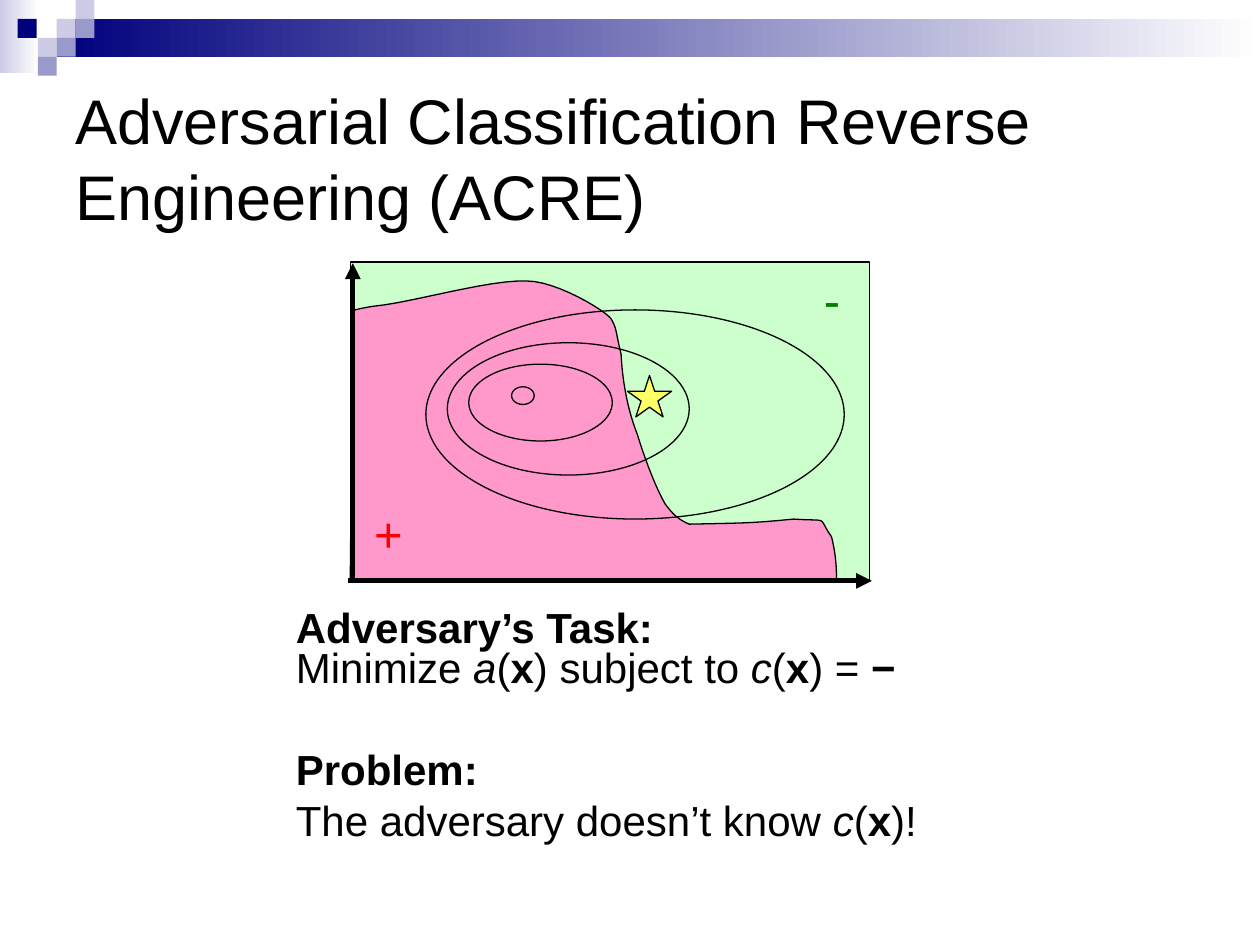
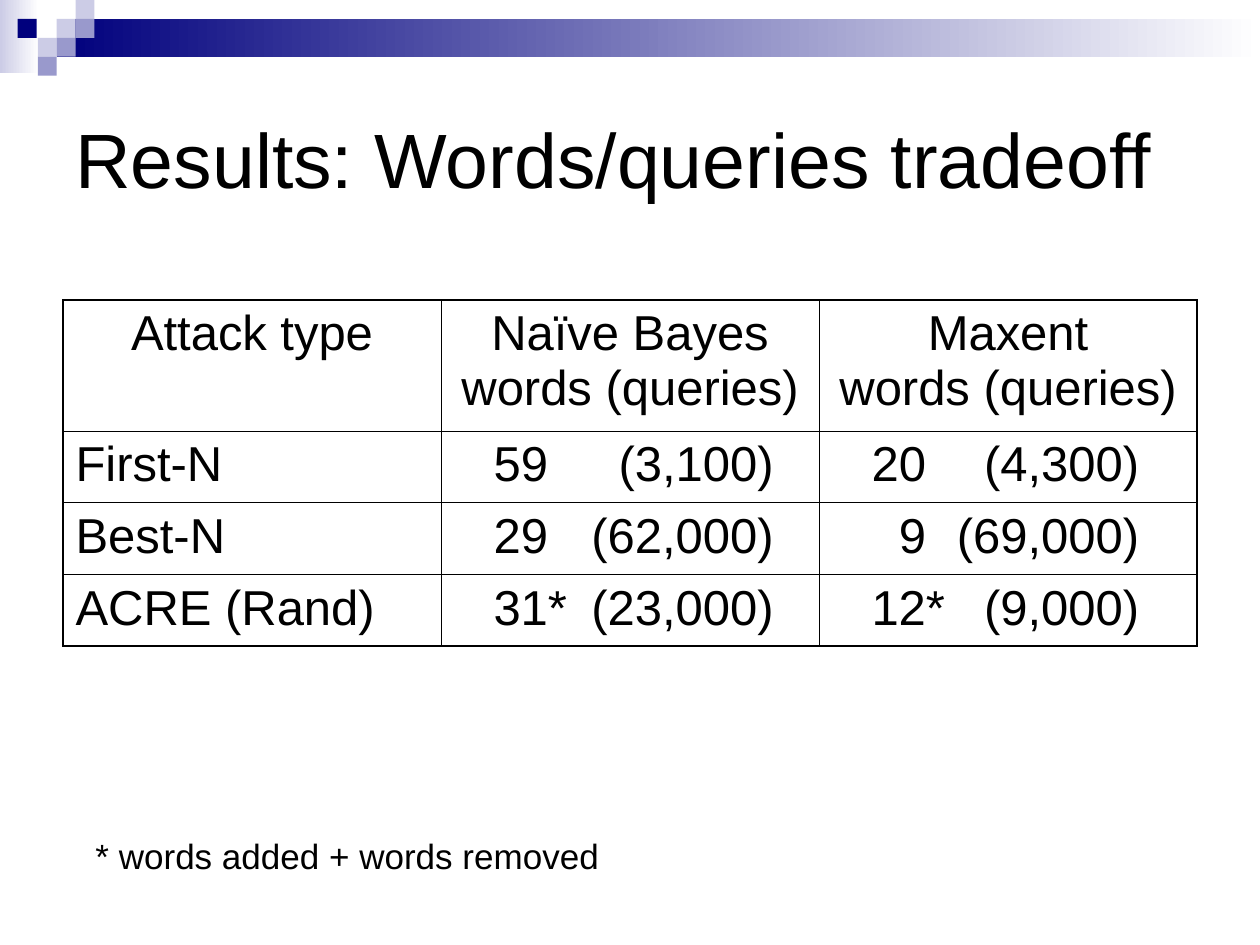
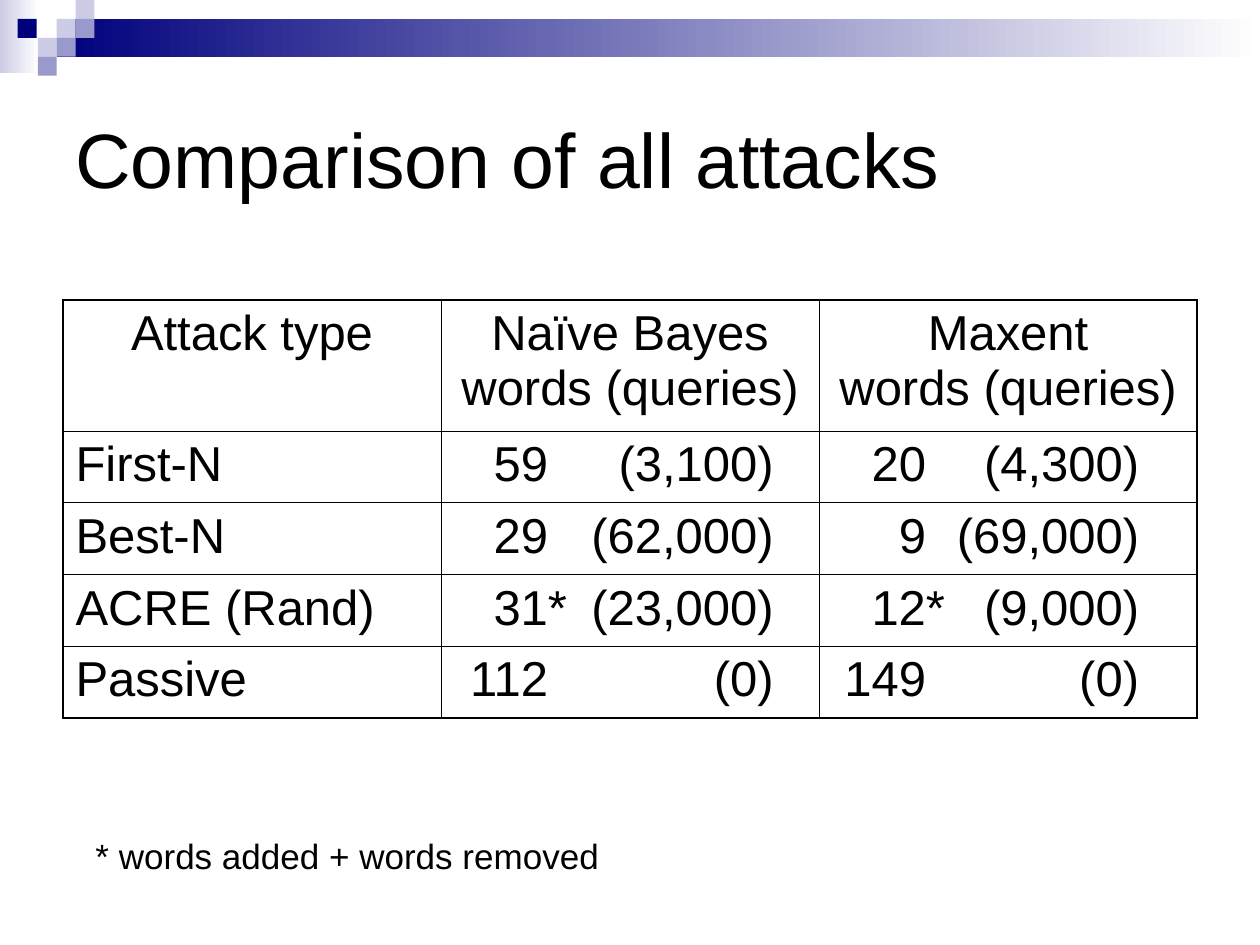
"""Three slides on adversarial classifier reverse engineering and its attack results."""
from dataclasses import dataclass
from typing import NamedTuple, Optional

from lxml import etree
from pptx import Presentation
from pptx.dml.color import RGBColor
from pptx.enum.shapes import MSO_CONNECTOR, MSO_SHAPE
from pptx.enum.text import MSO_ANCHOR, PP_ALIGN
from pptx.oxml.ns import qn
from pptx.util import Inches, Pt

RECTANGLE = MSO_SHAPE.RECTANGLE
OVAL = MSO_SHAPE.OVAL
STAR = MSO_SHAPE.STAR_5_POINT
STRAIGHT = MSO_CONNECTOR.STRAIGHT
CENTER = PP_ALIGN.CENTER
LEFT = PP_ALIGN.LEFT
MIDDLE = MSO_ANCHOR.MIDDLE
TOP = MSO_ANCHOR.TOP


@dataclass(frozen=True)
class Theme:
    """Colours, font and sizes shared by the slides."""
    font: str = "Arial"
    ink: str = "000000"
    white: str = "FFFFFF"
    navy: str = "00007D"
    lavender: str = "CCCCE6"
    violet: str = "9999CC"
    negative_area: str = "CCFFCC"
    positive_area: str = "FF99CC"
    negative_sign: str = "008000"
    positive_sign: str = "FF0000"
    star: str = "FFFF66"
    title_size: float = 44
    long_title_size: float = 36
    sign_size: float = 28
    table_size: float = 28
    task_size: float = 24
    note_size: float = 20
    outline: float = 0.75
    axis: float = 3
    frame: float = 1.08
    grid: float = 0.45


THEME = Theme()


class Box(NamedTuple):
    """Left, top, width and height in inches."""
    left: float
    top: float
    width: float
    height: float


class Span(NamedTuple):
    """A piece of text with its emphasis."""
    text: str
    bold: bool = False
    italic: bool = False


class Line(NamedTuple):
    """A paragraph made of spans, with its space before in points."""
    spans: list[Span]
    before: float = 0


class Score(NamedTuple):
    """Words changed and queries used by an attack."""
    words: str
    queries: str


class Attack(NamedTuple):
    """One row of the results."""
    name: str
    bayes: Score
    maxent: Score


class Tile(NamedTuple):
    """A small square of the corner mosaic."""
    left: float
    top: float
    color: str


TILE_SIDE = 0.15
MOSAIC = [
    Tile(0.45, 0.15, THEME.lavender),
    Tile(0.6, 0, THEME.lavender),
    Tile(0.6, 0.15, THEME.violet),
    Tile(0.3, 0.3, THEME.lavender),
    Tile(0.14, 0.15, THEME.navy),
    Tile(0.45, 0.3, THEME.violet),
    Tile(0.3, 0.45, THEME.violet),
]
BANDS = [(Box(0, 0, 0.31, 0.58), THEME.lavender), (Box(0.45, 0.15, 9.55, 0.3), THEME.navy)]

BOUNDARY_START = (2.78, 4.62)
BOUNDARY_CURVES = [
    ((2.79, 3.9), (2.78, 3.19), (2.8, 2.47)),
    ((2.8, 2.46), (2.9, 2.44), (2.97, 2.43)),
    ((3.28, 2.4), (3.87, 2.22), (4.18, 2.23)),
    ((4.42, 2.23), (4.81, 2.47), (4.85, 2.53)),
    ((4.9, 2.61), (4.89, 2.66), (4.93, 2.81)),
    ((4.94, 3.02), (4.98, 3.25), (5.06, 3.45)),
    ((5.12, 3.65), (5.21, 3.88), (5.28, 4)),
    ((5.34, 4.08), (5.38, 4.12), (5.47, 4.16)),
    ((5.99, 4.15), (5.97, 4.15), (6.3, 4.12)),
    ((6.6, 4.14), (6.48, 4.09), (6.6, 4.26)),
    ((6.63, 4.38), (6.64, 4.48), (6.64, 4.6)),
]
CURVE_STEPS = 12
COST_CONTOURS = [
    Box(4.06, 3.07, 0.18, 0.14),
    Box(3.72, 2.89, 1.14, 0.61),
    Box(3.55, 2.72, 1.92, 1.05),
    Box(3.38, 2.46, 3.32, 1.66),
]
AXES = [((2.8, 4.61), (2.8, 2.09)), ((2.76, 4.61), (6.92, 4.61))]

CLASSIFIER = [Span("c", italic=True), Span("("), Span("x", bold=True)]
TASK_LINES = [
    Line([Span("Adversary’s Task:", bold=True), Span("\v"), Span("Minimize "),
          Span("a", italic=True), Span("("), Span("x", bold=True), Span(") subject to "),
          *CLASSIFIER, Span(") = "), Span("−", bold=True)]),
    Line([Span("Problem:", bold=True)], before=35),
    Line([Span("The adversary doesn’t know "), *CLASSIFIER, Span(")!")], before=6),
]

HEADINGS = ["Attack type", "Naïve Bayes\vwords (queries)", "Maxent\vwords (queries)"]
ACTIVE_ATTACKS = [
    Attack("First-N", Score("59", "(3,100)"), Score("20", "(4,300)")),
    Attack("Best-N", Score("29", "(62,000)"), Score("9", "(69,000)")),
    Attack("ACRE (Rand)", Score("31*", "(23,000)"), Score("12*", "(9,000)")),
]
PASSIVE_ATTACK = Attack("Passive", Score("112", "(0)"), Score("149", "(0)"))
COLUMN_WIDTH = 3
HEADING_HEIGHT = 1.04
ROW_HEIGHT = 0.57
WORDS_STOP = 0.75
STAR_WIDTH = 0.15
BAYES_STOP = 2.54
MAXENT_STOP = 2.44


def rgb(color: str) -> RGBColor:
    """Turn a hex colour into an RGBColor."""
    return RGBColor.from_string(color)


def place(box: Box) -> list[int]:
    """Give the four lengths of a box."""
    return [Inches(length) for length in box]


def style_font(font, size: float, color: str = THEME.ink) -> None:
    """Apply the theme font in a size and colour."""
    font.name = THEME.font
    font.size = Pt(size)
    font.color.rgb = rgb(color)


def paint(shape, fill: Optional[str], outline: Optional[str] = None) -> None:
    """Set fill and outline, and drop the shadow."""
    shape.shadow.inherit = False
    if fill:
        shape.fill.solid()
        shape.fill.fore_color.rgb = rgb(fill)
    else:
        shape.fill.background()
    if outline:
        shape.line.color.rgb = rgb(outline)
        shape.line.width = Pt(THEME.outline)
    else:
        shape.line.fill.background()


def draw_preset(slide, kind, box: Box, fill: Optional[str], outline: Optional[str] = None):
    """Draw a preset shape."""
    shape = slide.shapes.add_shape(kind, *place(box))
    paint(shape, fill, outline)
    return shape


def draw_band(slide, box: Box, color: str) -> None:
    """Draw a rectangle that fades from a colour to white."""
    band = draw_preset(slide, RECTANGLE, box, None)
    band.fill.gradient()
    band.fill.gradient_angle = 0
    for stop, shade in zip(band.fill.gradient_stops, (color, THEME.white)):
        stop.color.rgb = rgb(shade)


def draw_text(slide, box: Box, text: str, size: float, color: str = THEME.ink,
              wrap: bool = False, anchor=TOP) -> None:
    """Draw a one-paragraph text box."""
    frame = slide.shapes.add_textbox(*place(box)).text_frame
    frame.word_wrap = wrap
    frame.vertical_anchor = anchor
    frame.text = text
    style_font(frame.paragraphs[0].runs[0].font, size, color)


def draw_axis(slide, start: tuple[float, float], end: tuple[float, float]) -> None:
    """Draw a thick arrow."""
    axis = slide.shapes.add_connector(STRAIGHT, *map(Inches, start + end))
    axis.line.color.rgb = rgb(THEME.ink)
    axis.line.width = Pt(THEME.axis)
    properties = axis.element.spPr
    etree.SubElement(properties.find(qn("a:ln")), qn("a:tailEnd"), type="triangle")
    etree.SubElement(properties, qn("a:effectLst"))


def trace_boundary() -> list[tuple[int, int]]:
    """Sample the Bézier curves of the decision boundary."""
    points, start = [], BOUNDARY_START
    for first, second, end in BOUNDARY_CURVES:
        for step in range(1, CURVE_STEPS + 1):
            t = step / CURVE_STEPS
            u = 1 - t
            points.append(tuple(
                Inches(u**3 * a + 3 * u * u * t * b + 3 * u * t * t * c + t**3 * d)
                for a, b, c, d in zip(start, first, second, end)))
        start = end
    return points


def draw_feature_space(slide) -> None:
    """Draw the classifier's regions, the cost contours and the best instance."""
    draw_preset(slide, RECTANGLE, Box(2.78, 2.08, 4.12, 2.53), THEME.negative_area, THEME.ink)
    outline = slide.shapes.build_freeform(*map(Inches, BOUNDARY_START))
    outline.add_line_segments(trace_boundary(), close=True)
    paint(outline.convert_to_shape(), THEME.positive_area, THEME.ink)
    for start, end in AXES:
        draw_axis(slide, start, end)
    for contour in COST_CONTOURS:
        draw_preset(slide, OVAL, contour, None, THEME.ink)
    draw_text(slide, Box(2.87, 3.95, 0.42, 0.57), "+", THEME.sign_size, THEME.positive_sign)
    draw_text(slide, Box(6.44, 2.09, 0.33, 0.57), "-", THEME.sign_size, THEME.negative_sign)
    draw_preset(slide, STAR, Box(4.98, 2.98, 0.35, 0.33), THEME.star, THEME.ink)


def draw_task(slide) -> None:
    """Write the adversary's task and problem."""
    frame = slide.shapes.add_textbox(*place(Box(2.25, 4.8, 6.17, 1.95))).text_frame
    frame.word_wrap = True
    for index, line in enumerate(TASK_LINES):
        paragraph = frame.add_paragraph() if index else frame.paragraphs[0]
        paragraph.line_spacing = 0.8
        paragraph.space_before = Pt(line.before)
        for span in line.spans:
            if span.text == "\v":
                paragraph.add_line_break()
                continue
            run = paragraph.add_run()
            run.text = span.text
            style_font(run.font, THEME.task_size)
            run.font.bold = span.bold
            run.font.italic = span.italic


def add_right_tabs(paragraph, stops: list[float]) -> None:
    """Give a paragraph right-aligned tab stops."""
    tabs = etree.SubElement(paragraph._p.get_or_add_pPr(), qn("a:tabLst"))
    for stop in stops:
        etree.SubElement(tabs, qn("a:tab"), pos=str(Inches(stop)), algn="r")


def border_cell(cell, widths: dict[str, float]) -> None:
    """Draw the four borders of a cell."""
    properties = cell._tc.get_or_add_tcPr()
    for side, width in widths.items():
        border = etree.SubElement(properties, qn(f"a:ln{side}"), w=str(Pt(width)))
        fill = etree.SubElement(border, qn("a:solidFill"))
        etree.SubElement(fill, qn("a:srgbClr"), val=THEME.ink)


def fill_cell(cell, text: str, align=LEFT, stops: Optional[list[float]] = None) -> None:
    """Write the text of a cell."""
    cell.fill.background()
    cell.text_frame.text = text
    paragraph = cell.text_frame.paragraphs[0]
    paragraph.alignment = align
    if stops:
        add_right_tabs(paragraph, stops)
    for run in paragraph.runs:
        style_font(run.font, THEME.table_size)


def fill_score(cell, score: Score, queries_stop: float) -> None:
    """Write a score with its digits aligned and any asterisk hanging."""
    words_stop = WORDS_STOP + STAR_WIDTH * score.words.count("*")
    fill_cell(cell, f"\t{score.words}\t{score.queries}", stops=[words_stop, queries_stop])


def draw_results(slide, attacks: list[Attack]) -> None:
    """Draw the results table and its footnote."""
    last_row, last_column = len(attacks), len(HEADINGS) - 1
    box = Box(0.5, 2.38, COLUMN_WIDTH * len(HEADINGS), HEADING_HEIGHT + ROW_HEIGHT * last_row)
    table = slide.shapes.add_table(last_row + 1, len(HEADINGS), *place(box)).table
    table.first_row = False
    table.horz_banding = False
    for index, row in enumerate(table.rows):
        row.height = Inches(ROW_HEIGHT if index else HEADING_HEIGHT)
        for position, cell in enumerate(row.cells):
            edges = {"L": position == 0, "R": position == last_column,
                     "T": index == 0, "B": index == last_row}
            border_cell(cell, {side: THEME.frame if outer else THEME.grid
                               for side, outer in edges.items()})
    for position, heading in enumerate(HEADINGS):
        fill_cell(table.cell(0, position), heading, CENTER)
    for index, attack in enumerate(attacks, 1):
        fill_cell(table.cell(index, 0), attack.name)
        fill_score(table.cell(index, 1), attack.bayes, BAYES_STOP)
        fill_score(table.cell(index, 2), attack.maxent, MAXENT_STOP)
    draw_text(slide, Box(0.66, 6.57, 4.2, 0.44), "* words added + words removed", THEME.note_size)


def add_slide(deck, title: str, size: float = THEME.title_size):
    """Add a slide with the bands, the mosaic and a title."""
    slide = deck.slides.add_slide(deck.slide_layouts[6])
    for box, color in BANDS:
        draw_band(slide, box, color)
    for tile in MOSAIC:
        draw_preset(slide, RECTANGLE, Box(tile.left, tile.top, TILE_SIDE, TILE_SIDE), tile.color)
    draw_text(slide, Box(0.5, 0.5, 9, 1.5), title, size, wrap=True, anchor=MIDDLE)
    return slide


def main() -> None:
    """Build and save the deck."""
    deck = Presentation()
    deck.slide_width, deck.slide_height = Inches(10), Inches(7.5)
    problem = add_slide(deck, "Adversarial Classification Reverse Engineering (ACRE)",
                        THEME.long_title_size)
    draw_feature_space(problem)
    draw_task(problem)
    draw_results(add_slide(deck, "Results: Words/queries tradeoff"), ACTIVE_ATTACKS)
    draw_results(add_slide(deck, "Comparison of all attacks"), [*ACTIVE_ATTACKS, PASSIVE_ATTACK])
    deck.save("out.pptx")


if __name__ == "__main__":
    main()
